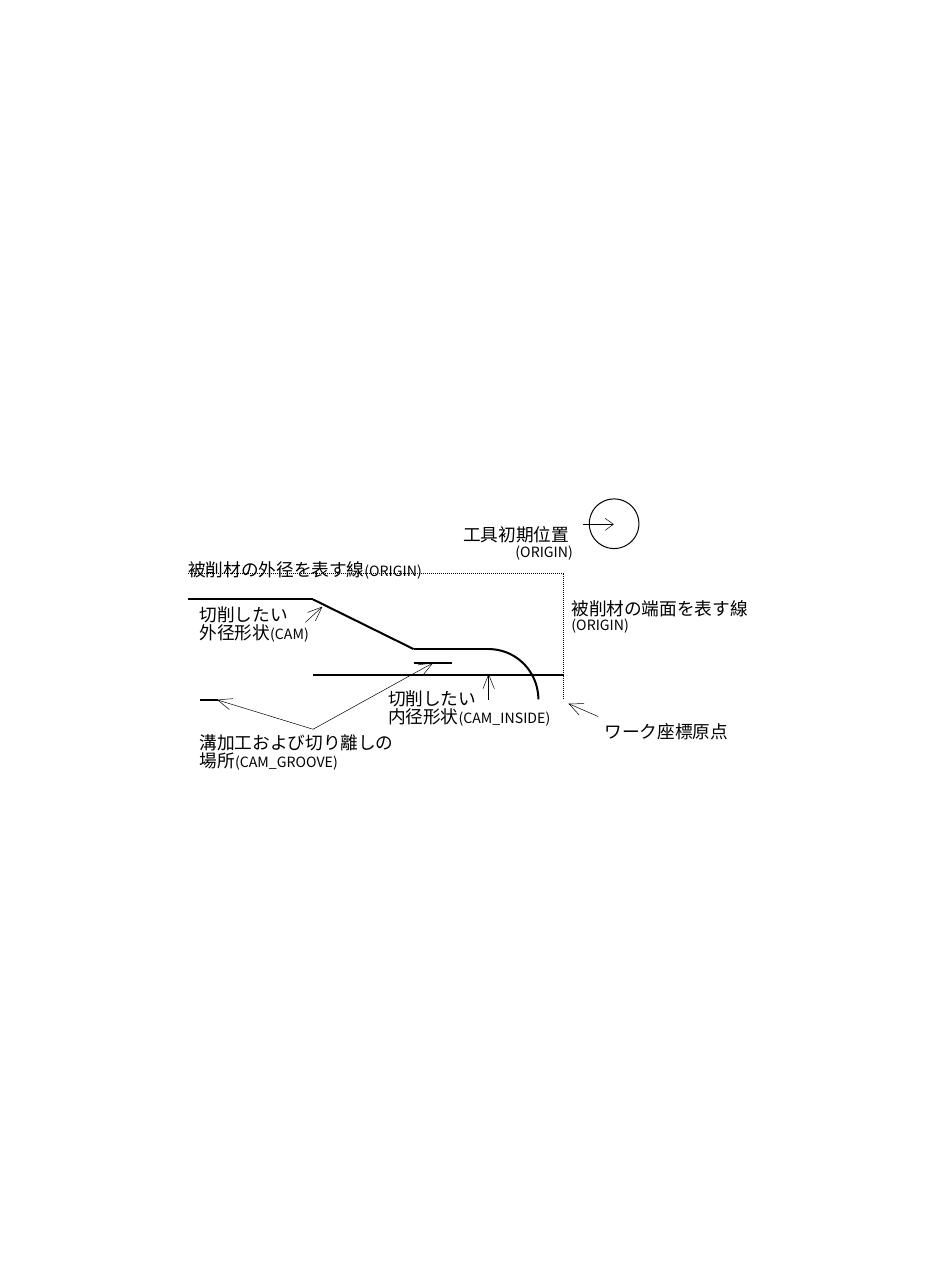
import math

from lxml import etree
from pptx import Presentation
from pptx import util as u
from pptx.dml.color import RGBColor
from pptx.enum import dml, shapes, text
from pptx.oxml.ns import qn

FONT = "Noto Sans CJK JP"
BLACK = "000000"
THICK, MEDIUM, THIN = 1.13, 0.57, 0.28

# Lines: start x, start y, end x, end y
CUT_LINES = [
    (1.48, 4.71, 2.46, 4.71),  # outer profile
    (2.46, 4.71, 3.25, 5.1),
    (3.25, 5.1, 3.84, 5.1),
    (2.46, 5.3, 4.43, 5.3),  # inner profile
    (3.25, 5.21, 3.55, 5.21),  # groove
    (1.57, 5.5, 1.71, 5.5),  # cut-off
]
STOCK_LINES = [(4.43, 4.51, 4.43, 5.5), (1.48, 4.51, 4.43, 4.51)]

# Round parts: preset, left, top, width, height, line width
ROUND_PARTS = [
    (shapes.MSO_SHAPE.ARC, 3.45, 5.1, 0.78, 0.79, THICK),
    (shapes.MSO_SHAPE.OVAL, 4.63, 3.92, 0.39, 0.39, MEDIUM),
]

# Arrows: tail x, tail y, tip x, tip y, head length, half angle in degrees
ARROWS = [
    (4.7, 5.63, 4.47, 5.53, 0.12, 24),
    (4.58, 4.12, 4.82, 4.12, 0.08, 36),
    (2.46, 5.73, 3.4, 5.21, 0.12, 22),
    (2.46, 5.73, 1.71, 5.5, 0.12, 22),
    (3.84, 5.5, 3.84, 5.3, 0.12, 22),
    (2.4, 4.89, 2.53, 4.77, 0.12, 22),
]

# Labels: left, top, width, height, paragraphs of (line spacing, runs of (text, size))
LABELS = [
    (4.75, 5.58, 1.05, 0.2, [(18, [("ワーク座標原点", 10)])]),
    (4.49, 4.72, 1.51, 0.35, [(10.1, [("被削材の端面を表す線", 10)]),
                              (8.1, [("(ORIGIN)", 8)])]),
    (1.48, 4.31, 2, 0.2, [(18, [("被削材の外径を表す線", 10), ("(ORIGIN)", 8)])]),
    (3.64, 4.03, 0.9, 0.19, [(18, [("工具初期位置", 10)])]),
    (4.05, 4.18, 0.48, 0.19, [(16, [("(ORIGIN)", 8)])]),
    (1.57, 4.77, 0.9, 0.33, [(10.1, [("切削したい", 10)]),
                             (10.1, [("外径形状", 10), ("(CAM)", 8)])]),
    (3.05, 5.43, 1.33, 0.33, [(10.1, [("切削したい", 10)]),
                              (10.1, [("内径形状", 10), ("(CAM_INSIDE)", 8)])]),
    (1.57, 5.78, 1.66, 0.33, [(10.1, [("溝加工および切り離しの", 10)]),
                              (10.1, [("場所", 10), ("(CAM_GROOVE)", 8)])]),
]
FRAME_FORMAT = {
    "margin_left": 0, "margin_top": 0, "margin_right": 0, "margin_bottom": 0,
    "word_wrap": False, "auto_size": text.MSO_AUTO_SIZE.SHAPE_TO_FIT_TEXT,
    "vertical_anchor": text.MSO_ANCHOR.TOP,
}


def inches(*values):
    return [u.Inches(value) for value in values]


def paint(color_format, color):
    color_format.rgb = RGBColor.from_string(color)


def format_line(line, width):
    line.width = u.Pt(width)
    line.fill.solid()
    paint(line.fill.fore_color, BLACK)


def add_line(parent, ends, width):
    connector = parent.add_connector(shapes.MSO_CONNECTOR.STRAIGHT, *inches(*ends))
    format_line(connector.line, width)
    etree.SubElement(connector._element.spPr, qn("a:effectLst"))
    return connector


def format_outline(shape, width):
    shape.shadow.inherit = False
    shape.fill.background()
    format_line(shape.line, width)


def add_arrow(slide, tail_x, tail_y, tip_x, tip_y, length, half_angle):
    group = slide.shapes.add_group_shape()
    add_line(group.shapes, (tail_x, tail_y, tip_x, tip_y), THIN)
    back = math.atan2(tail_y - tip_y, tail_x - tip_x)
    spread = math.radians(half_angle)
    first, last = [
        inches(tip_x + length * math.cos(angle), tip_y + length * math.sin(angle))
        for angle in (back - spread, back + spread)
    ]
    builder = group.shapes.build_freeform(*first)
    builder.add_line_segments([inches(tip_x, tip_y), last], close=False)
    format_outline(builder.convert_to_shape(), THIN)


def add_label(slide, box, paragraphs):
    frame = slide.shapes.add_textbox(*inches(*box)).text_frame
    for name, value in FRAME_FORMAT.items():
        setattr(frame, name, value)
    for index, (spacing, runs) in enumerate(paragraphs):
        paragraph = frame.add_paragraph() if index else frame.paragraphs[0]
        paragraph.line_spacing = u.Pt(spacing)
        for words, size in runs:
            run = paragraph.add_run()
            run.text = words
            for name, value in {"size": u.Pt(size), "name": FONT}.items():
                setattr(run.font, name, value)
            paint(run.font.color, BLACK)
            # East Asian typeface
            etree.SubElement(run._r.get_or_add_rPr(), qn("a:ea"), typeface=FONT)


def main():
    presentation = Presentation()
    presentation.slide_width, presentation.slide_height = inches(7.48, 10.12)
    slide = presentation.slides.add_slide(presentation.slide_layouts[6])

    # Workpiece and tool
    for ends in CUT_LINES:
        add_line(slide.shapes, ends, THICK)
    for ends in STOCK_LINES:
        add_line(slide.shapes, ends, MEDIUM).line.dash_style = dml.MSO_LINE.ROUND_DOT
    for preset, *box, width in ROUND_PARTS:
        format_outline(slide.shapes.add_shape(preset, *inches(*box)), width)

    # Labels and their arrows
    for *box, paragraphs in LABELS:
        add_label(slide, box, paragraphs)
    for arrow in ARROWS:
        add_arrow(slide, *arrow)

    presentation.save("out.pptx")


if __name__ == "__main__":
    main()
